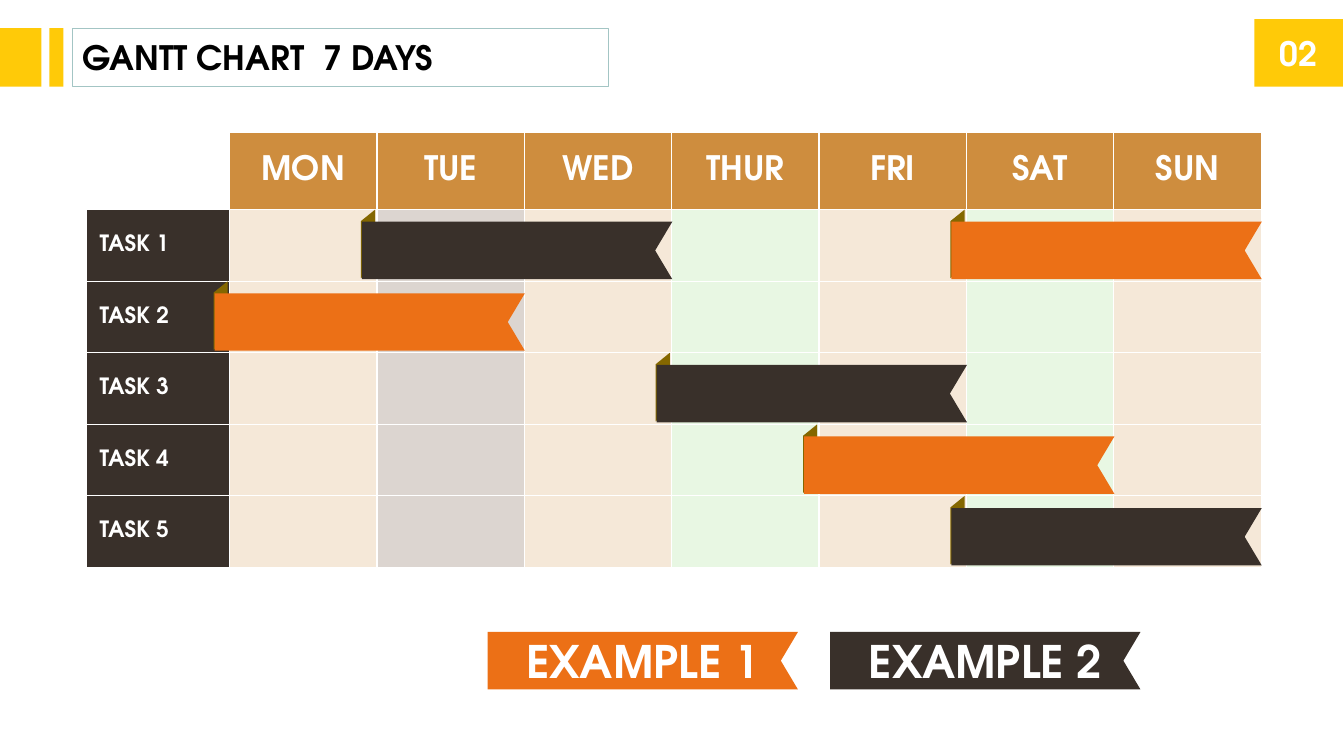
from pptx import Presentation
from pptx.dml.color import RGBColor
from pptx.enum.shapes import MSO_SHAPE
from pptx.enum.text import MSO_ANCHOR, PP_ALIGN
from pptx.oxml import parse_xml
from pptx.oxml.ns import nsdecls, qn
from pptx.util import Inches, Pt

COLORS = {
    "yellow": "FFCA08", "dark": "39302A", "orange": "EC7016", "fold": "846700",
    "header": "CE8D3E", "cream": "F5E8D8", "grey": "DCD5D0", "green": "E8F7E3",
    "outline": "A3C5C4", "white": "FFFFFF", "black": "000000",
}
FONT = "TeX Gyre Adventor"

DAYS = ["MON", "TUE", "WED", "THUR", "FRI", "SAT", "SUN"]
DAY_FILLS = ["cream", "grey", "cream", "green", "cream", "green", "cream"]
TASKS = 5
# Task index, first day index, colour
BARS = [(0, 1, "dark"), (1, 0, "orange"), (2, 3, "dark"),
        (3, 4, "orange"), (4, 5, "dark"), (0, 5, "orange")]
LEGEND = [("EXAMPLE 2", 8.24, "dark"), ("EXAMPLE 1", 4.84, "orange")]

# Grid geometry in inches
LEFT, TOP, WIDTH = 0.86, 1.31, 11.66
LABEL_W, HEAD_H, ROW_H = 1.42, 0.77, 0.71
DAY_W = (WIDTH - LABEL_W) / len(DAYS)
BAR_W, BAR_H, NOTCH = 3.08, 0.57, 0.17
FOLD_W, FOLD_H = 0.68, 0.14


def rgb(name):
    return RGBColor.from_string(COLORS[name])


def paint(sp, fill=None, line=None):
    sp.shadow.inherit = False
    if fill:
        sp.fill.solid()
        sp.fill.fore_color.rgb = rgb(fill)
    else:
        sp.fill.background()
    if line:
        sp.line.color.rgb = rgb(line)
        sp.line.width = Pt(1)
    else:
        sp.line.fill.background()


def write(tf, text, size, color="white", align=PP_ALIGN.CENTER):
    tf.word_wrap = True
    p = tf.paragraphs[0]
    p.alignment = align
    r = p.add_run()
    r.text = text
    fmt = {"name": FONT, "size": Pt(size), "bold": True}
    for key, value in fmt.items():
        setattr(r.font, key, value)
    r.font.color.rgb = rgb(color)


def add_box(s, x, y, w, h, fill=None, line=None, shape=MSO_SHAPE.RECTANGLE):
    sp = s.shapes.add_shape(shape, Inches(x), Inches(y), Inches(w), Inches(h))
    paint(sp, fill, line)
    sp.text_frame.vertical_anchor = MSO_ANCHOR.MIDDLE
    return sp


def add_ribbon(s, x, y, fill):
    points = [(x + BAR_W, y), (x + BAR_W - NOTCH, y + BAR_H / 2),
              (x + BAR_W, y + BAR_H), (x, y + BAR_H)]
    builder = s.shapes.build_freeform(Inches(x), Inches(y))
    builder.add_line_segments([(Inches(px), Inches(py)) for px, py in points])
    sp = builder.convert_to_shape()
    paint(sp, fill)
    sp.text_frame.vertical_anchor = MSO_ANCHOR.MIDDLE
    return sp


def add_fold(s, x, y):
    sp = add_box(s, x, y, FOLD_W, FOLD_H, "fold", shape=MSO_SHAPE.PARALLELOGRAM)
    sp.adjustments[0] = 0.811
    sp.rotation = 270
    sp._element.spPr.find(qn("a:xfrm")).set("flipH", "1")


def add_task_bar(s, task, day, fill):
    x = LEFT + LABEL_W + day * DAY_W - 0.15
    y = TOP + HEAD_H + task * ROW_H + 0.12
    add_fold(s, x - 0.28, y + 0.15)
    add_ribbon(s, x, y, fill)


def format_cell(cell, fill):
    cell.fill.solid()
    cell.fill.fore_color.rgb = rgb(fill)
    fmt = {"vertical_anchor": MSO_ANCHOR.MIDDLE,
           "margin_left": Inches(0.13), "margin_right": Inches(0.13),
           "margin_top": Inches(0.07), "margin_bottom": Inches(0.07)}
    for key, value in fmt.items():
        setattr(cell, key, value)
    # White borders go before the fill element
    tc_pr = cell._tc.get_or_add_tcPr()
    for i, side in enumerate(["lnL", "lnR", "lnT", "lnB"]):
        tc_pr.insert(i, parse_xml(
            f'<a:{side} {nsdecls("a")} w="12700"><a:solidFill>'
            f'<a:srgbClr val="{COLORS["white"]}"/></a:solidFill></a:{side}>'))


def add_grid(s):
    frame = s.shapes.add_table(
        TASKS + 1, len(DAYS) + 1, Inches(LEFT), Inches(TOP),
        Inches(WIDTH), Inches(HEAD_H + TASKS * ROW_H))
    table = frame.table
    for i, col in enumerate(table.columns):
        col.width = Inches(DAY_W if i else LABEL_W)
    for i, row in enumerate(table.rows):
        row.height = Inches(ROW_H if i else HEAD_H)

    # Header row
    format_cell(table.cell(0, 0), "white")
    for c, day in enumerate(DAYS, 1):
        cell = table.cell(0, c)
        format_cell(cell, "header")
        write(cell.text_frame, day, 24)

    # Task rows
    for r in range(1, TASKS + 1):
        label = table.cell(r, 0)
        format_cell(label, "dark")
        write(label.text_frame, f"TASK {r}", 16, align=PP_ALIGN.LEFT)
        for c, fill in enumerate(DAY_FILLS, 1):
            format_cell(table.cell(r, c), fill)


def main():
    prs = Presentation()
    prs.slide_width, prs.slide_height = Inches(13.34), Inches(7.5)
    s = prs.slides.add_slide(prs.slide_layouts[6])

    # Title strip and page number
    add_box(s, 0, 0.28, 0.41, 0.58, "yellow")
    add_box(s, 0.49, 0.28, 0.14, 0.58, "yellow")
    title = add_box(s, 0.72, 0.28, 5.32, 0.58, line="outline")
    write(title.text_frame, "GANTT CHART  7 DAYS", 24, "black", PP_ALIGN.LEFT)
    number = add_box(s, 12.45, 0.19, 0.88, 0.67, "yellow")
    write(number.text_frame, "02", 24)

    # Week grid and task bars
    add_grid(s)
    for task, day, fill in BARS:
        add_task_bar(s, task, day, fill)

    # Legend
    for text, x, fill in LEGEND:
        write(add_ribbon(s, x, 6.27, fill).text_frame, text, 32)

    prs.save("out.pptx")


if __name__ == "__main__":
    main()
